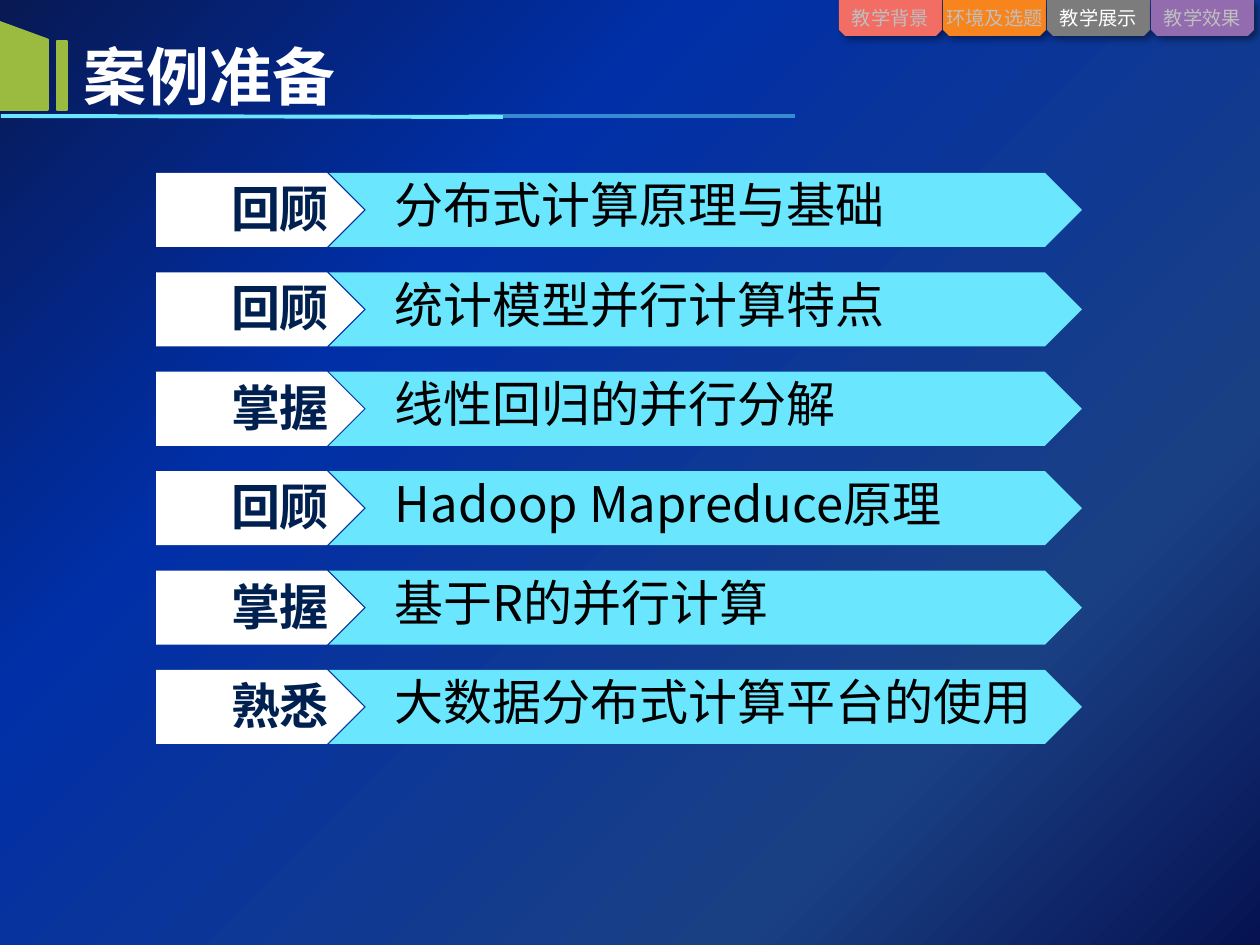
from dataclasses import dataclass

from lxml import etree
from pptx import Presentation
from pptx.dml.color import RGBColor
from pptx.enum.shapes import MSO_CONNECTOR, MSO_SHAPE
from pptx.enum.text import MSO_ANCHOR, PP_ALIGN
from pptx.oxml.ns import qn
from pptx.util import Pt

PX = 914400 / 126
STRAIGHT = MSO_CONNECTOR.STRAIGHT
SNIP, SLANT = MSO_SHAPE.SNIP_2_SAME_RECTANGLE, MSO_SHAPE.FLOWCHART_MANUAL_INPUT
RECT, PENTAGON, CHEVRON = MSO_SHAPE.RECTANGLE, MSO_SHAPE.PENTAGON, MSO_SHAPE.CHEVRON
MIDDLE = MSO_ANCHOR.MIDDLE
LEFT, CENTER = PP_ALIGN.LEFT, PP_ALIGN.CENTER


@dataclass(frozen=True)
class Theme:
    font: str = "Noto Sans CJK SC"
    white: str = "FFFFFF"
    black: str = "000000"
    navy: str = "002050"
    cyan: str = "6AE7FF"
    green: str = "9BBB40"
    muted: str = "BFBFBF"
    backdrop: tuple = ((0, "081954"), (31, "002FA7"), (76, "1A4084"), (100, "061252"))
    title_size: int = 36
    row_size: int = 28
    tab_size: int = 11


THEME = Theme()
TABS = [("教学背景", "F26D64"), ("环境及选题", "F8841D"),
        ("教学展示", "7C7C7C"), ("教学效果", "936CAF")]
CURRENT_TAB = "教学展示"
ROWS = [("回顾", "分布式计算原理与基础"), ("回顾", "统计模型并行计算特点"),
        ("掌握", "线性回归的并行分解"), ("回顾", "Hadoop Mapreduce原理"),
        ("掌握", "基于R的并行计算"), ("熟悉", "大数据分布式计算平台的使用")]


def emu(*lengths):
    return [round(length * PX) for length in lengths]


def add_xml(parent, tag, **attributes):
    return etree.SubElement(parent, qn(tag), attributes)


def apply_format(target, values):
    for name, value in values.items():
        setattr(target, name, value)


def write(frame, text, size, color, bold=False, align=LEFT, insets=(12, 6, 12, 6), wrap=True):
    left, top, right, bottom = emu(*insets)
    apply_format(frame, dict(margin_left=left, margin_top=top, margin_right=right,
                             margin_bottom=bottom, vertical_anchor=MIDDLE, word_wrap=wrap))
    paragraph = frame.paragraphs[0]
    paragraph.alignment = align
    run = paragraph.add_run()
    run.text = text
    apply_format(run.font, dict(size=Pt(size), bold=bold, name=THEME.font))
    run.font.color.rgb = RGBColor.from_string(color)
    add_xml(run.font._element, "a:ea", typeface=THEME.font)
    return paragraph


def add_block(slide, kind, box, color, outline=None, flip=None):
    block = slide.shapes.add_shape(kind, *emu(*box))
    block.shadow.inherit = False
    block.fill.solid()
    block.fill.fore_color.rgb = RGBColor.from_string(color)
    if outline:
        block.line.color.rgb = RGBColor.from_string(outline)
        block.line.width = Pt(1)
    else:
        block.line.fill.background()
    if flip:
        block._element.spPr.xfrm.set(flip, "1")
    return block


def add_rule(slide, start, end, opacity=100):
    rule = slide.shapes.add_connector(STRAIGHT, *emu(*start, *end))
    rule.line.color.rgb = RGBColor.from_string(THEME.cyan)
    rule.line.width = Pt(2.25)
    properties = rule._element.spPr
    if opacity < 100:
        add_xml(properties.find(".//" + qn("a:srgbClr")), "a:alpha", val=str(opacity * 1000))
    add_xml(properties, "a:effectLst")


def paint_backdrop(slide):
    fill = slide.background.fill
    fill.gradient()
    fill.gradient_angle = 315  # counter-clockwise: runs from top left to bottom right
    stops = slide._element.find(".//" + qn("a:gsLst"))
    for stop in list(stops):
        stops.remove(stop)
    for position, color in THEME.backdrop:
        stop = add_xml(stops, "a:gs", pos=str(position * 1000))
        add_xml(stop, "a:srgbClr", val=color)


def add_tabs(slide, box):
    left, top, width, height = box
    tab_width = 103
    pitch = (width - tab_width) / (len(TABS) - 1)
    for index, (label, color) in enumerate(TABS):
        x = left + index * pitch
        tab = add_block(slide, SNIP, (x, top, tab_width, height), color, flip="flipV")
        # Soft shadow below the tab
        effects = tab._element.spPr.find(qn("a:effectLst"))
        shadow = add_xml(effects, "a:outerShdw", blurRad=str(Pt(4)), dist=str(Pt(3)),
                         dir="2700000", algn="tl", rotWithShape="0")
        add_xml(add_xml(shadow, "a:srgbClr", val=THEME.black), "a:alpha", val="40000")
        # Label, centred on the tab and as wide as its characters need
        label_width = 27 + 19 * len(label)
        label_box = (x + (tab_width - label_width) / 2, top, label_width, height)
        caption = slide.shapes.add_textbox(*emu(*label_box))
        color = THEME.white if label == CURRENT_TAB else THEME.muted
        write(caption.text_frame, label, THEME.tab_size, color, align=CENTER, wrap=False)


def add_header(slide, box):
    left, top, width, height = box
    base = top + height
    # Underline in two overlapping strokes
    add_rule(slide, (left + 1, base + 6), (left + 503, base + 7))
    add_rule(slide, (left + 469, base + 6), (left + width, base + 6), opacity=50)
    # Green marks
    add_block(slide, SLANT, (left, top, 48, height), THEME.green, THEME.green, "flipH")
    add_block(slide, RECT, (left + 57, top + 19, 10, height - 19), THEME.green, THEME.green)
    # Title
    title = slide.shapes.title
    x, y, w, h = emu(left + 72, top + 9, 721, 89)
    apply_format(title, dict(left=x, top=y, width=w, height=h))
    write(title.text_frame, "案例准备", THEME.title_size, THEME.white, bold=True)


def add_row(slide, box, tag, topic):
    left, top, width, height = box
    tag_plate = add_block(slide, PENTAGON, (left, top, 208, height), THEME.white)
    write(tag_plate.text_frame, tag, THEME.row_size, THEME.navy, bold=True,
          insets=(75, 6, 13, 10))

    arrow = add_block(slide, CHEVRON, (left + 173, top, width - 173, height), THEME.cyan)
    arrow.adjustments[0] = 0.5
    line = write(arrow.text_frame, topic, THEME.row_size, THEME.black, insets=(13, 6, 13, 10))
    apply_format(line, dict(level=1, line_spacing=0.9))
    indents = line._p.get_or_add_pPr()
    indents.set("marL", str(emu(16)[0]))
    indents.set("indent", "0")


def add_rows(slide, box):
    left, top, width, height = box
    row_height = 74
    pitch = (height - row_height) / (len(ROWS) - 1)
    for index, (tag, topic) in enumerate(ROWS):
        add_row(slide, (left, top + index * pitch, width, row_height), tag, topic)


def main():
    deck = Presentation()
    deck.slide_width, deck.slide_height = emu(1260, 945)
    slide = deck.slides.add_slide(deck.slide_layouts[5])
    paint_backdrop(slide)
    add_tabs(slide, (839, 0, 415, 36))
    add_header(slide, (0, 22, 795, 88))
    add_rows(slide, (156, 173, 926, 571))
    deck.save("out.pptx")


if __name__ == "__main__":
    main()
